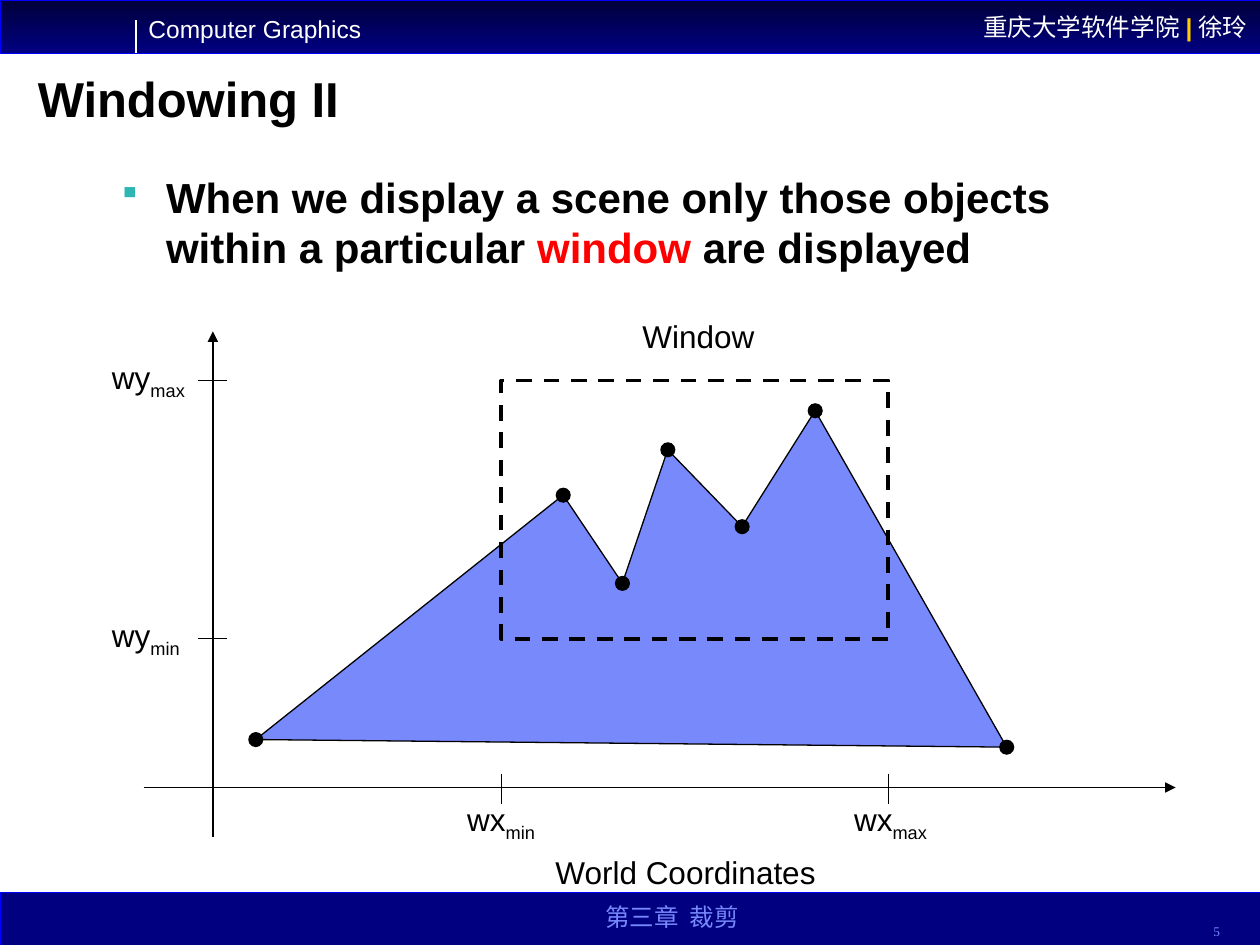
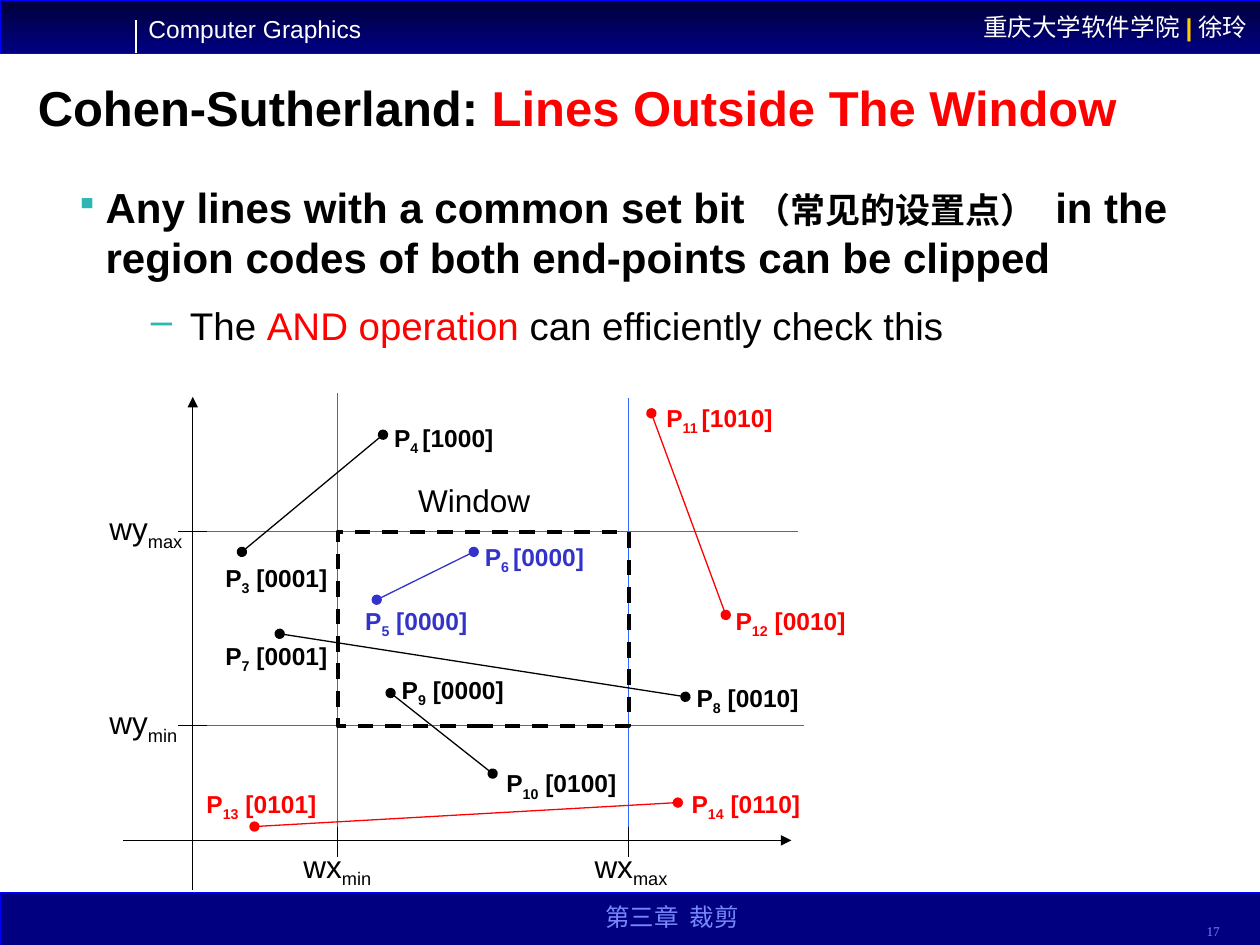
from collections import namedtuple

from lxml import etree
from pptx import Presentation
from pptx.dml.color import RGBColor
from pptx.enum.dml import MSO_LINE
from pptx.enum.shapes import MSO_CONNECTOR, MSO_SHAPE
from pptx.enum.text import MSO_ANCHOR, PP_ALIGN
from pptx.oxml.ns import qn
from pptx.util import Emu, Pt

EMU_PER_PX = 9144
WIDTH, HEIGHT, BAND = 1000, 750, 42
RECT, OVAL = MSO_SHAPE.RECTANGLE, MSO_SHAPE.OVAL
STRAIGHT, DASH = MSO_CONNECTOR.STRAIGHT, MSO_LINE.DASH
LEFT, CENTER, RIGHT = PP_ALIGN.LEFT, PP_ALIGN.CENTER, PP_ALIGN.RIGHT
TOP, MIDDLE, BOTTOM = MSO_ANCHOR.TOP, MSO_ANCHOR.MIDDLE, MSO_ANCHOR.BOTTOM

Box = namedtuple("Box", "left top width height")


class Theme:
    sans, serif = "Arial", "Times New Roman"
    black, white, red, blue = "000000", "FFFFFF", "FF0000", "3333CC"
    navy, night, edge = "000080", "00003B", "0000FF"
    gold, periwinkle, teal, guide = "FFCC00", "7889FB", "2DB6B3", "3366FF"
    thin, thick, hairline = 0.75, 2.25, 0.25
    title = dict(name=sans, size=Pt(28), bold=True, color=black)
    point = dict(name=sans, size=Pt(24), bold=True, color=black)
    subpoint = dict(name=sans, size=Pt(22), bold=False, color=black)
    header = dict(name=sans, size=Pt(14), bold=False, color=white)
    footer = dict(name=serif, size=Pt(14), color=periwinkle)
    number = dict(name=serif, size=Pt(7.6), color=periwinkle)
    label = dict(name=sans, size=Pt(18), color=black)
    code = dict(name=sans, size=Pt(14), bold=True)


SUBSCRIPT = dict(baseline=-25000)
RED = dict(color=Theme.red)


def px(length):
    return Emu(length * EMU_PER_PX)


def px_all(lengths):
    return [px(length) for length in lengths]


def rgb(color):
    return RGBColor.from_string(color)


def write(para, style, spans):
    """Add (text, changes) spans, each in the style with its own changes."""
    for text, changes in spans:
        span = para.add_run()
        span.text = text
        for key, value in {**style, **changes}.items():
            if key == "color":
                span.font.color.rgb = rgb(value)
            elif key == "baseline":
                span._r.get_or_add_rPr().set("baseline", str(value))
            else:
                setattr(span.font, key, value)


def format_frame(frame, anchor=TOP):
    settings = dict(word_wrap=True, vertical_anchor=anchor,
                    margin_left=px(10), margin_right=px(10),
                    margin_top=px(5), margin_bottom=px(5))
    for key, value in settings.items():
        setattr(frame, key, value)
    return frame


def add_text(page, box, style, spans, align=LEFT, anchor=TOP):
    frame = format_frame(page.shapes.add_textbox(*px_all(box)).text_frame, anchor)
    para = frame.paragraphs[0]
    para.alignment = align
    write(para, style, spans)
    return para


def paint(shape, fill=None, line=None, width=Theme.thin):
    shape.shadow.inherit = False
    if fill:
        shape.fill.solid()
        shape.fill.fore_color.rgb = rgb(fill)
    else:
        shape.fill.background()
    if line:
        shape.line.color.rgb = rgb(line)
        shape.line.width = Pt(width)
    else:
        shape.line.fill.background()
    return shape


def add_line(page, start, end, color=Theme.black, head=None, tail=None):
    line = page.shapes.add_connector(STRAIGHT, *px_all((*start, *end)))
    line.line.color.rgb = rgb(color)
    line.line.width = Pt(Theme.thin)
    outline = line.line._get_or_add_ln()
    for tag, kind in (("a:headEnd", head), ("a:tailEnd", tail)):
        if kind:
            etree.SubElement(outline, qn(tag), type=kind)
    etree.SubElement(line._element.spPr, qn("a:effectLst"))


def add_bullet(para, mark, margin, indent, percent=100):
    properties = para._p.get_or_add_pPr()
    properties.set("marL", str(px(margin)))
    properties.set("indent", str(px(-indent)))
    color = etree.SubElement(properties, qn("a:buClr"))
    etree.SubElement(color, qn("a:srgbClr"), val=Theme.teal)
    etree.SubElement(properties, qn("a:buSzPct"), val=str(percent * 1000))
    etree.SubElement(properties, qn("a:buChar"), char=mark)


def draw_header(page, box):
    band = paint(page.shapes.add_shape(RECT, *px_all(box)),
                 Theme.navy, Theme.edge, Theme.hairline)
    band.fill.gradient()
    band.fill.gradient_angle = 270
    for stop, color, place in zip(band.fill.gradient_stops,
                                  (Theme.night, Theme.navy), (0, 1)):
        stop.color.rgb = rgb(color)
        stop.position = place
    para = format_frame(band.text_frame, MIDDLE).paragraphs[0]
    para.alignment = RIGHT
    write(para, Theme.header, [("重庆大学软件学院", {}),
                               ("|", dict(color=Theme.gold, bold=True)),
                               ("徐玲", {})])
    divider = box.left + 108
    add_text(page, Box(divider, box.top + 6, 200, 34), Theme.header,
             [("Computer Graphics", {})])
    add_line(page, (divider, box.top + 16), (divider, box.top + box.height), Theme.white)


def draw_footer(page, box, number):
    paint(page.shapes.add_shape(RECT, *px_all(box)),
          Theme.navy, Theme.edge, Theme.hairline)
    add_text(page, Box(box.left + 375, box.top - 2, 317, 38), Theme.footer,
             [("第三章  裁剪", {})], CENTER, BOTTOM)
    para = add_text(page, Box(box.left + 878, box.top + 4, 100, 38), Theme.number,
                    [(number, {})], RIGHT, BOTTOM)
    para.line_spacing = 0.8


def start_page(deck, number, title_box, title_spans):
    """Add a title-only slide with its bands and title."""
    page = deck.slides.add_slide(deck.slide_layouts[5])
    draw_header(page, Box(0, 0, WIDTH, BAND))
    draw_footer(page, Box(0, HEIGHT - BAND, WIDTH, BAND), number)
    title = page.shapes.title
    for key, value in zip(("left", "top", "width", "height"), px_all(title_box)):
        setattr(title, key, value)
    para = format_frame(title.text_frame, BOTTOM).paragraphs[0]
    para.alignment = LEFT
    para.line_spacing = 0.9
    write(para, Theme.title, title_spans)
    return page


def draw_point(page, box, margin, indent, spans):
    para = add_text(page, box, Theme.point, spans)
    add_bullet(para, "▪", margin, indent, 75)
    para.space_after = Pt(4.5)
    return page.shapes[-1].text_frame


def draw_axes(page, box, window, caption, y_label_gap, x_label_gap):
    """Draw axes crossing at the box's lower left corner, and the clip window."""
    base = box.top + box.height
    add_line(page, (box.left - 55, base), (box.left + box.width, base), tail="triangle")
    add_line(page, (box.left, base + 39), (box.left, box.top), tail="triangle")

    left, top = box.left + window.left, box.top + window.top
    frame = page.shapes.add_shape(RECT, *px_all((left, top, window.width, window.height)))
    paint(frame, line=Theme.black, width=Theme.thick).line.dash_style = DASH
    add_text(page, Box(box.left + caption[0], box.top + caption[1], 125, 40),
             Theme.label, [("Window", {})])

    for name, x, y in (("max", left + window.width, top),
                       ("min", left, top + window.height)):
        add_line(page, (box.left + 11, y), (box.left - 12, y))
        add_line(page, (x, base - 11), (x, base + 13))
        for axis, spot in (("wy", (box.left - y_label_gap, y - 23)),
                           ("wx", (x - 37, base + x_label_gap))):
            add_text(page, Box(*spot, 95, 44), Theme.label,
                     [(axis, {}), (name, SUBSCRIPT)])


def draw_scene(page, box):
    corners = [(box.left + x, box.top + y) for x, y in
               ((34, 324), (278, 130), (325, 200), (361, 94),
                (420, 155), (478, 63), (630, 330))]
    outline = page.shapes.build_freeform(*corners[0], scale=EMU_PER_PX)
    outline.add_line_segments(corners[1:], close=True)
    paint(outline.convert_to_shape(), Theme.periwinkle, Theme.black)
    draw_axes(page, box, Box(229, 39, 307, 205), (331, -16), 90, 5)
    for x, y in corners:
        paint(page.shapes.add_shape(OVAL, *px_all((x - 6, y - 6, 12, 12))), Theme.black)
    add_text(page, Box(box.left + 262, box.top + 409, 245, 40), Theme.label,
             [("World Coordinates", {})])


# Each end: subscript, region code, dot and label positions in the plot box
SEGMENTS = [
    (Theme.blue, ("5", " [0000]", (146, 161), (127, 161)),
     ("6 ", "[0000]", (223, 123), (222, 110))),
    (Theme.black, ("3", " [0001]", (39, 123), (16, 127)),
     ("4 ", "[1000]", (151, 30), (150, 16))),
    (Theme.black, ("9", " [0000]", (157, 235), (156, 216)),
     ("10", " [0100]", (238, 299), (239, 290))),
    (Theme.black, ("7", " [0001]", (69, 188), (16, 189)),
     ("8", " [0010]", (391, 238), (390, 222))),
    (Theme.red, ("12", " [0010]", (423, 173), (421, 161)),
     ("11 ", "[1010]", (364, 13), (366, 0))),
    (Theme.red, ("13", " [0101]", (49, 341), (1, 306)),
     ("14", " [0110]", (385, 322), (386, 306))),
]


def draw_regions(page, box):
    window = Box(115, 107, 231, 154)
    for step in (0, 1):
        x = box.left + window.left + step * window.width
        y = box.top + window.top + step * window.height
        add_line(page, (x, box.top - 3 + 4 * step), (x, box.top + 344 + 4 * step),
                 Theme.guide)
        add_line(page, (box.left + 480 + 5 * step, y), (box.left + 6 + 5 * step, y),
                 Theme.guide)
    draw_axes(page, box, window, (169, 62), 76, 0)
    for color, *ends in SEGMENTS:
        start, end = [(box.left + dot[0], box.top + dot[1]) for _, _, dot, _ in ends]
        add_line(page, start, end, color, head="oval", tail="oval")
        for index, code, _, (x, y) in ends:
            add_text(page, Box(box.left + x, box.top + y, 130, 37),
                     {**Theme.code, "color": color},
                     [("P", {}), (index, SUBSCRIPT), (code, {})])


def build_windowing(deck):
    page = start_page(deck, "5", Box(20, 52, 902, 55), [("Windowing II", {})])
    draw_point(page, Box(75, 131, 850, 101), 47, 38, [
        ("When we display a scene only those objects within a particular ", {}),
        ("window", RED), (" are displayed", {})])
    draw_scene(page, Box(169, 263, 764, 362))


def build_lines_outside(deck):
    page = start_page(deck, "17", Box(20, 60, 902, 54), [
        ("Cohen-Sutherland: ", {}), ("Lines Outside The Window", RED)])
    frame = draw_point(page, Box(50, 139, 900, 208), 24, 24, [
        ("Any lines with a common set bit", {}),
        ("（常见的设置点）", dict(size=Pt(20))),
        (" in the region codes of both end-points can be clipped", {})])
    para = frame.add_paragraph()
    add_bullet(para, "–", 91, 31)
    para.level = 1
    para.space_before, para.space_after = Pt(6.9), Pt(4.1)
    write(para, Theme.subpoint, [("The ", {}), ("AND operation", RED),
                                 (" can efficiently check this", {})])
    draw_regions(page, Box(153, 315, 475, 352))


def main():
    deck = Presentation()
    deck.slide_width, deck.slide_height = px(WIDTH), px(HEIGHT)
    build_windowing(deck)
    build_lines_outside(deck)
    deck.save("out.pptx")


if __name__ == "__main__":
    main()
